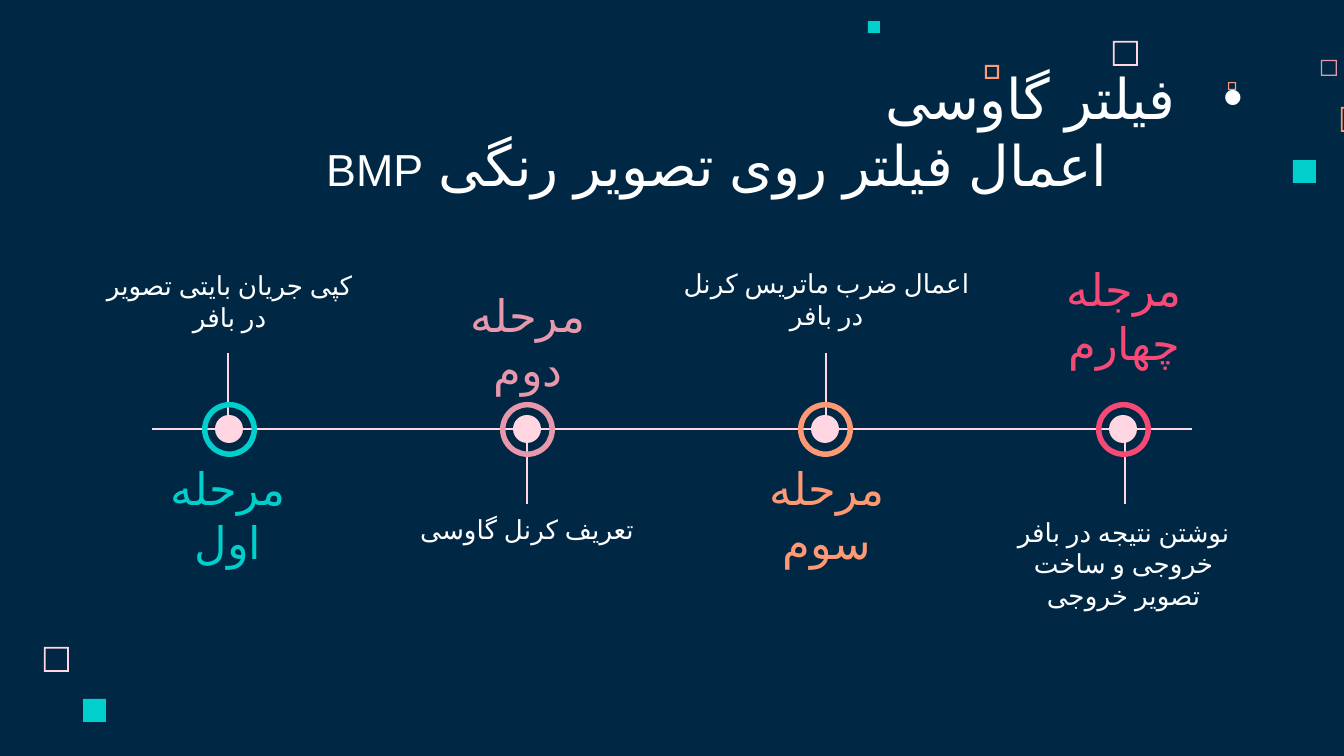
import pptx
import pptx.util
import pptx.dml.color
import pptx.enum.lang
import pptx.enum.shapes
import pptx.enum.text
import pptx.oxml.ns
import lxml.etree

PX = 914400 / 134.4
KIND = pptx.enum.shapes.MSO_SHAPE
ANCHOR = pptx.enum.text.MSO_ANCHOR
ALIGN = pptx.enum.text.PP_ALIGN
FARSI = pptx.enum.lang.MSO_LANGUAGE_ID.FARSI
qn = pptx.oxml.ns.qn
WHITE, PINK, TEAL, ORANGE = "FFFFFF", "FFD6E1", "00CFCC", "FF9973"
ROSE, RED = "E898AC", "F64975"


def tint(obj, color):
    """Give a fill, or the fill of a line or font, one solid hex colour."""
    obj.solid()
    obj.fore_color.rgb = pptx.dml.color.RGBColor.from_string(color)


def write(box, lines, anchor, align):
    """Add a right-to-left text box; each line is a list of (text, font, size, color)."""
    shape = slide.shapes.add_textbox(*[round(v * PX) for v in box])
    frame = shape.text_frame
    inset = pptx.util.Inches(0.1)
    form = {"word_wrap": True, "vertical_anchor": anchor, "margin_left": inset,
            "margin_right": inset, "margin_top": inset, "margin_bottom": inset}
    for key, val in form.items():
        setattr(frame, key, val)
    for i, line in enumerate(lines):
        para = frame.add_paragraph() if i else frame.paragraphs[0]
        para.alignment = align
        para._p.get_or_add_pPr().set("rtl", "1")
        for text, face, size, color in line:
            run = para.add_run()
            run.text = text
            form = {"name": face, "size": pptx.util.Pt(size), "language_id": FARSI}
            for key, val in form.items():
                setattr(run.font, key, val)
            tint(run.font.fill, color)
            script = lxml.etree.SubElement(run._r.get_or_add_rPr(), qn("a:cs"))
            script.set("typeface", face)
    return frame


deck = pptx.Presentation()
deck.slide_width, deck.slide_height = round(1344 * PX), round(756 * PX)
slide = deck.slides.add_slide(deck.slide_layouts[6])
tint(slide.background.fill, "002845")

# Shapes: kind, left, top, size, colour, relative thickness
marks = [
    (KIND.FRAME, 1113, 41, 25, PINK, 0.07),
    (KIND.FRAME, 1321, 60, 16, ROSE, 0.08),
    (KIND.FRAME, 1228, 82, 8, ORANGE, 0.15),
    (KIND.FRAME, 1341, 107, 25, ORANGE, 0.07),
    (KIND.RECTANGLE, 1293, 160, 23, TEAL, None),
    (KIND.FRAME, 985, 65, 14, ORANGE, 0.14),
    (KIND.RECTANGLE, 868, 21, 12, TEAL, None),
    (KIND.FRAME, 44, 647, 25, PINK, 0.07),
    (KIND.RECTANGLE, 83, 699, 23, TEAL, None),
]
wires = [(152, 429, 1192, 429)]
for i, hue in enumerate([TEAL, ROSE, ORANGE, RED]):
    mid = 229 + 298 * i
    marks.append((KIND.OVAL, mid - 14, 415, 28, PINK, None))
    marks.append((KIND.DONUT, mid - 27, 402, 55, hue, 0.1))
    stem = 228 + 299 * i
    top, end = (438, 504) if i % 2 else (353, 421)
    wires.append((stem, top, stem, end))

for ends in wires:
    wire = slide.shapes.add_connector(
        pptx.enum.shapes.MSO_CONNECTOR.STRAIGHT, *[round(v * PX) for v in ends])
    wire.line.width = pptx.util.Pt(1.5)
    tint(wire.line.fill, PINK)
    lxml.etree.SubElement(wire._element.spPr, qn("a:effectLst"))

for kind, left, top, size, color, thick in marks:
    mark = slide.shapes.add_shape(kind, *[round(v * PX) for v in (left, top, size, size)])
    mark.shadow.inherit = False
    mark.line.fill.background()
    tint(mark.fill, color)
    if thick:
        mark.adjustments[0] = thick

# Title: a bullet line, then a line set in by one more step
title = write((132, 126, 1124, 85), [
    [("فیلتر گاوسی", "Arial", 30, WHITE)],
    [("اعمال فیلتر روی تصویر رنگی ", "Arial", 30, WHITE), ("BMP", "Arial", 24, WHITE)],
], ANCHOR.BOTTOM, ALIGN.RIGHT)
step = pptx.util.Inches(0.5)
first, second = [p._p.get_or_add_pPr() for p in title.paragraphs]
first.set("marL", str(step))
first.set("indent", str(-step))
second.set("marL", str(2 * step))
tone = lxml.etree.SubElement(first, qn("a:buClr"))
lxml.etree.SubElement(tone, qn("a:srgbClr")).set("val", WHITE)
lxml.etree.SubElement(first, qn("a:buFont")).set("typeface", "Arial")
lxml.etree.SubElement(first, qn("a:buChar")).set("char", "•")

notes = [
    ((91, 251, 277, 95), "کپی جریان بایتی تصویر در بافر", ANCHOR.BOTTOM),
    ((372, 500, 310, 95), "تعریف کرنل گاوسی", ANCHOR.TOP),
    ((663, 249, 327, 95), "اعمال ضرب ماتریس کرنل در بافر", ANCHOR.BOTTOM),
    ((985, 503, 277, 95), "نوشتن نتیجه در بافر خروجی و ساخت تصویر خروجی", ANCHOR.TOP),
]
for box, text, anchor in notes:
    write(box, [[(text, "Lato", 14, WHITE)]], anchor, ALIGN.CENTER)

steps = [
    ((133, 483, 190, 63), "مرحله اول", TEAL),
    ((433, 310, 190, 63), "مرحله دوم", ROSE),
    ((732, 483, 190, 63), "مرحله سوم", ORANGE),
    ((1011, 284, 226, 63), "مرجله چهارم", RED),
]
for box, text, hue in steps:
    write(box, [[(text, "Arial", 24, hue)]], ANCHOR.MIDDLE, ALIGN.CENTER)

deck.save("out.pptx")
